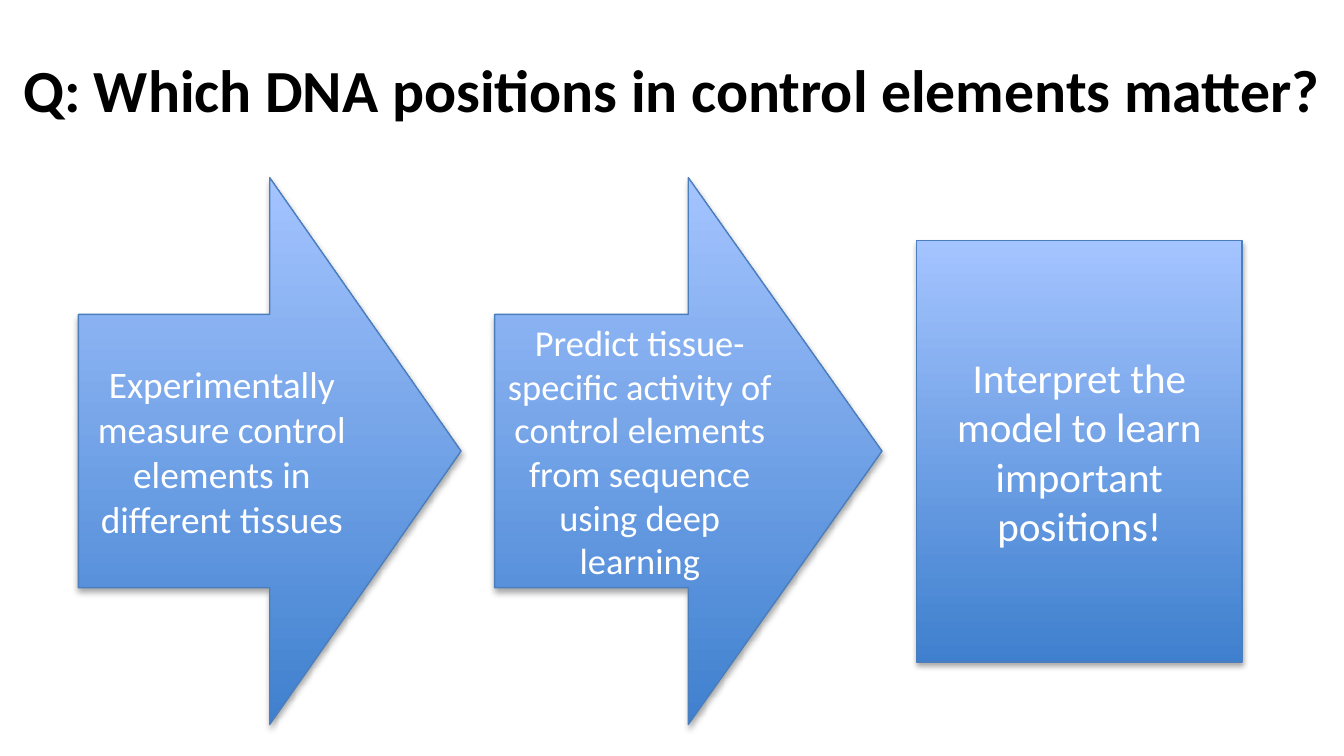
import pptx
import pptx.util
import pptx.dml.color
import pptx.enum.shapes
import pptx.enum.text
import pptx.oxml
import pptx.oxml.ns

Pt = pptx.util.Pt
RGB = pptx.dml.color.RGBColor.from_string
SHAPE = pptx.enum.shapes.MSO_SHAPE

COLORS = {
    "title": "000000",
    "label": "FFFFFF",
    "gradient_bottom": "3F80CE",
    "gradient_top": "A4C4FF",
    "outline": "4B7EBC",
    "shadow": "000000",
}
FONT = "Calibri"
QUESTION = "Q: Which DNA positions in control elements matter?"
STEPS = [
    ("Experimentally measure control elements in different tissues",
     SHAPE.RIGHT_ARROW, 42, 205, 293, 20),
    ("Predict tissue-specific activity of control elements from sequence using deep learning",
     SHAPE.RIGHT_ARROW, 265, 207.5, 293, 19.5),
    ("Interpret the model to learn important positions!",
     SHAPE.RECTANGLE, 491, 174.5, 226, 22),
]
STEP_MIDDLE = 241.7


def write(shape, text, *, size, color, bold=False):
    frame = shape.text_frame
    frame.word_wrap = True
    frame.auto_size = pptx.enum.text.MSO_AUTO_SIZE.NONE
    frame.vertical_anchor = pptx.enum.text.MSO_ANCHOR.MIDDLE
    paragraph = frame.paragraphs[0]
    paragraph.alignment = pptx.enum.text.PP_ALIGN.CENTER
    run = paragraph.add_run()
    run.text = text
    run.font.name = FONT
    run.font.size = Pt(size)
    run.font.bold = bold
    run.font.color.rgb = RGB(COLORS[color])


def add_shadow(shape, blur, distance, opacity):
    shape.shadow.inherit = False
    effects = shape.element.spPr.find(pptx.oxml.ns.qn("a:effectLst"))
    effects.append(pptx.oxml.parse_xml(
        f'<a:outerShdw {pptx.oxml.ns.nsdecls("a")} blurRad="{Pt(blur)}" dist="{Pt(distance)}" '
        f'dir="5400000" rotWithShape="0"><a:srgbClr val="{COLORS["shadow"]}">'
        f'<a:alpha val="{opacity * 1000}"/></a:srgbClr></a:outerShdw>'))


def add_step(slide, text, outline, left, width, height, size):
    step = slide.shapes.add_shape(
        outline, Pt(left), Pt(STEP_MIDDLE - height / 2), Pt(width), Pt(height))
    step.fill.gradient()
    step.fill.gradient_angle = 90
    for stop, color in zip(step.fill.gradient_stops, ("gradient_bottom", "gradient_top")):
        stop.color.rgb = RGB(COLORS[color])
    step.line.color.rgb = RGB(COLORS["outline"])
    step.line.width = Pt(0.75)
    add_shadow(step, blur=3.1, distance=1.8, opacity=35)
    write(step, text, size=size, color="label")


def main():
    deck = pptx.Presentation()
    deck.slide_width, deck.slide_height = Pt(720), Pt(405)
    slide = deck.slides.add_slide(deck.slide_layouts[5])

    question = slide.shapes.title
    question.left, question.top = Pt(0), Pt(21)
    question.width, question.height = Pt(720), Pt(92)
    write(question, QUESTION, size=32, color="title", bold=True)
    question.text_frame.margin_bottom = Pt(42.6)

    for step in STEPS:
        add_step(slide, *step)

    deck.save("out.pptx")


if __name__ == "__main__":
    main()
